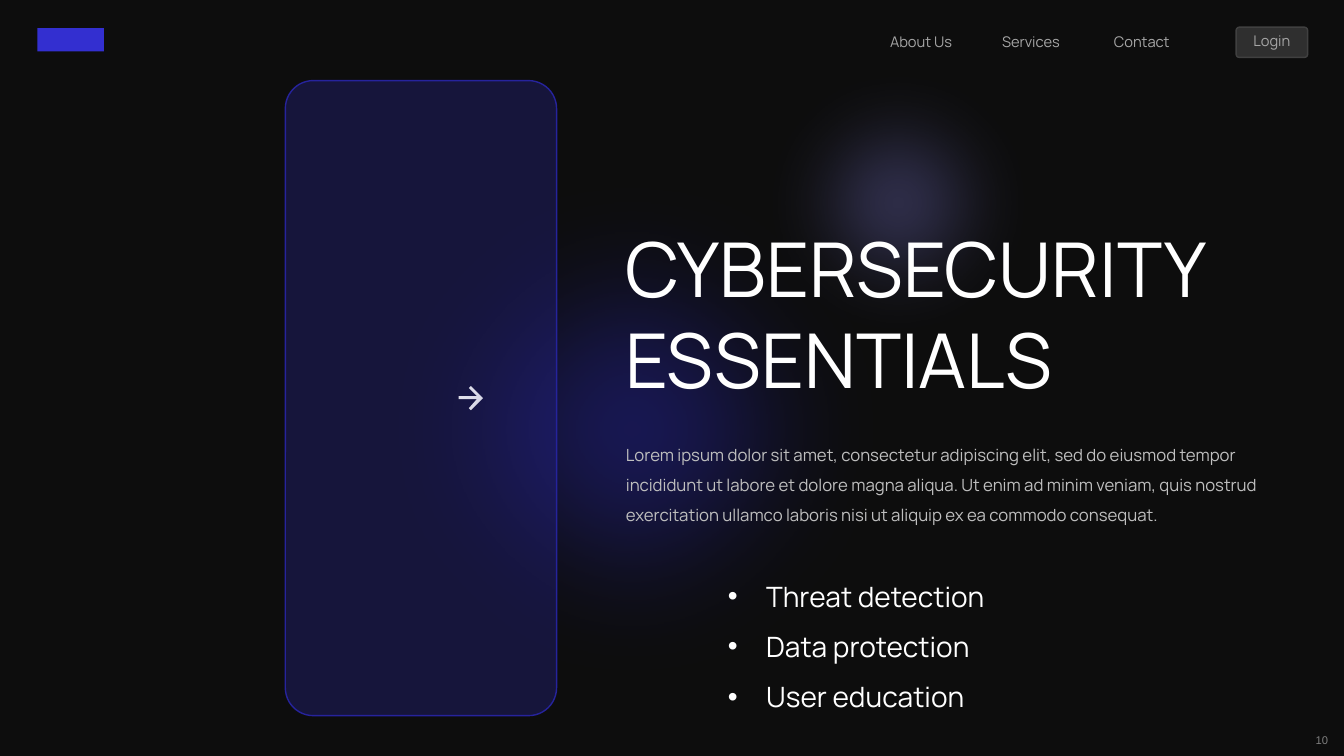
from dataclasses import dataclass
from typing import Optional

from lxml import etree
from pptx import Presentation
from pptx import util as u
from pptx.dml.color import RGBColor
from pptx.enum import shapes, text
from pptx.oxml import ns

BACKGROUND = RGBColor(0x0D, 0x0D, 0x0D)
WHITE = RGBColor(0xFF, 0xFF, 0xFF)
PALE = RGBColor(0xF2, 0xF2, 0xF2)
BODY_GREY = RGBColor(0xBF, 0xBF, 0xBF)
NAV_GREY = RGBColor(0xA6, 0xA6, 0xA6)
PAGE_GREY = RGBColor(0x7F, 0x7F, 0x7F)
BORDER_GREY = RGBColor(0x40, 0x40, 0x40)
INDIGO = RGBColor(0x33, 0x2F, 0xD0)
DEEP_INDIGO = RGBColor(0x26, 0x23, 0x9C)
LAVENDER = RGBColor(0x85, 0x82, 0xE3)

RECT = shapes.MSO_SHAPE.RECTANGLE
ROUNDED = shapes.MSO_SHAPE.ROUNDED_RECTANGLE
OVAL = shapes.MSO_SHAPE.OVAL
LEFT, CENTER, RIGHT = text.PP_ALIGN.LEFT, text.PP_ALIGN.CENTER, text.PP_ALIGN.RIGHT

BULLET_INDENT = 0.38


@dataclass
class Panel:
    kind: shapes.MSO_SHAPE
    left: float
    top: float
    width: float
    height: float
    fill: RGBColor
    opacity: int = 100
    line: Optional[RGBColor] = None
    corner: Optional[float] = None
    soft_edge: float = 0


@dataclass
class Label:
    words: str
    left: float
    top: float
    width: float
    height: float
    size: float
    color: RGBColor
    align: text.PP_ALIGN = LEFT
    font: str = "Manrope"
    spacing: float = 1.0
    bullets: bool = False


def add_panel(slide, panel: Panel) -> None:
    sp = slide.shapes.add_shape(
        panel.kind, u.Inches(panel.left), u.Inches(panel.top),
        u.Inches(panel.width), u.Inches(panel.height))
    sp.shadow.inherit = False
    if panel.corner is not None:
        sp.adjustments[0] = panel.corner
    sp.fill.solid()
    sp.fill.fore_color.rgb = panel.fill
    if panel.line is None:
        sp.line.fill.background()
    else:
        sp.line.color.rgb = panel.line
        sp.line.width = u.Pt(1)
    props = sp.element.spPr
    if panel.opacity < 100:
        color = props.find(ns.qn("a:solidFill")).find(ns.qn("a:srgbClr"))
        etree.SubElement(color, ns.qn("a:alpha"), val=str(panel.opacity * 1000))
    if panel.soft_edge:
        effects = props.find(ns.qn("a:effectLst"))
        etree.SubElement(effects, ns.qn("a:softEdge"),
                         rad=str(u.Inches(panel.soft_edge)))


def add_bullet(p) -> None:
    props = p._p.get_or_add_pPr()
    indent = u.Inches(BULLET_INDENT)
    props.set("marL", str(indent))
    props.set("indent", str(-indent))
    etree.SubElement(props, ns.qn("a:buFont"), typeface="Arial")
    etree.SubElement(props, ns.qn("a:buChar"), char="•")


def add_label(slide, label: Label) -> None:
    box = slide.shapes.add_textbox(
        u.Inches(label.left), u.Inches(label.top),
        u.Inches(label.width), u.Inches(label.height))
    tf = box.text_frame
    tf.text = label.words
    tf.word_wrap = True
    tf.auto_size = text.MSO_AUTO_SIZE.SHAPE_TO_FIT_TEXT
    for p in tf.paragraphs:
        p.alignment = label.align
        p.line_spacing = label.spacing
        if label.bullets:
            add_bullet(p)
        for r in p.runs:
            r.font.name = label.font
            r.font.size = u.Pt(label.size)
            r.font.color.rgb = label.color


def add_arrow(slide, points: list[tuple[int, int]], color: RGBColor) -> None:
    """Draw a closed outline given in hundredths of an inch."""
    builder = slide.shapes.build_freeform(*points[0], scale=u.Inches(0.01))
    builder.add_line_segments(points[1:], close=True)
    sp = builder.convert_to_shape()
    sp.shadow.inherit = False
    sp.fill.solid()
    sp.fill.fore_color.rgb = color
    sp.line.fill.background()


LOGIN_BUTTON = Panel(ROUNDED, 12.26, 0.27, 0.71, 0.3, PALE, 15, BORDER_GREY, 0.105)
HEADER_BLOCK = Panel(RECT, 0.37, 0.28, 0.66, 0.23, INDIGO)
CARD = Panel(ROUNDED, 2.83, 0.8, 2.69, 6.3, INDIGO, 24, DEEP_INDIGO, 0.103)
GLOWS = [
    Panel(OVAL, 3.16, 1.15, 6.23, 6.23, DEEP_INDIGO, 52, soft_edge=1.39),
    Panel(OVAL, 7.12, 0.22, 3.58, 3.58, LAVENDER, 37, soft_edge=0.88),
]
ARROW = [(473, 393), (465, 385), (467, 383), (479, 395), (467, 407),
         (465, 405), (473, 396), (455, 396), (455, 393)]

NAV_LEFT, NAV_STEP = 8.73, 1.11
HEADER = [
    *(Label(words, NAV_LEFT + i * NAV_STEP, 0.28, 0.87, 0.29, 10.5, NAV_GREY)
      for i, words in enumerate(["About Us", "Services", "Contact"])),
    Label("Login", 12.26, 0.27, 0.71, 0.29, 10.5, NAV_GREY, CENTER),
    Label("10", 12.4, 7.23, 0.87, 0.24, 8, PAGE_GREY, RIGHT, "Arial"),
]
CONTENT = [
    Label("CYBERSECURITY ESSENTIALS", 6.11, 2.15, 6.86, 1.92, 54, WHITE),
    Label("Lorem ipsum dolor sit amet, consectetur adipiscing elit, sed do "
          "eiusmod tempor incididunt ut labore et dolore magna aliqua. Ut enim "
          "ad minim veniam, quis nostrud exercitation ullamco laboris nisi ut "
          "aliquip ex ea commodo consequat.",
          6.11, 4.26, 6.86, 1.01, 12, BODY_GREY, spacing=1.5),
    Label("Threat detection\nData protection\nUser education",
          7.12, 5.53, 3.39, 1.56, 20, WHITE, spacing=1.5, bullets=True),
]


def main() -> None:
    prs = Presentation()
    prs.slide_width, prs.slide_height = u.Inches(13.33), u.Inches(7.5)
    s = prs.slides.add_slide(prs.slide_layouts[6])
    s.background.fill.solid()
    s.background.fill.fore_color.rgb = BACKGROUND

    # Header and page number
    add_panel(s, LOGIN_BUTTON)
    add_panel(s, HEADER_BLOCK)
    for label in HEADER:
        add_label(s, label)

    # Card with arrow, under the soft glows
    add_panel(s, CARD)
    add_arrow(s, ARROW, PALE)
    for glow in GLOWS:
        add_panel(s, glow)

    # Title, body and bullet list
    for label in CONTENT:
        add_label(s, label)

    prs.save("out.pptx")


if __name__ == "__main__":
    main()
